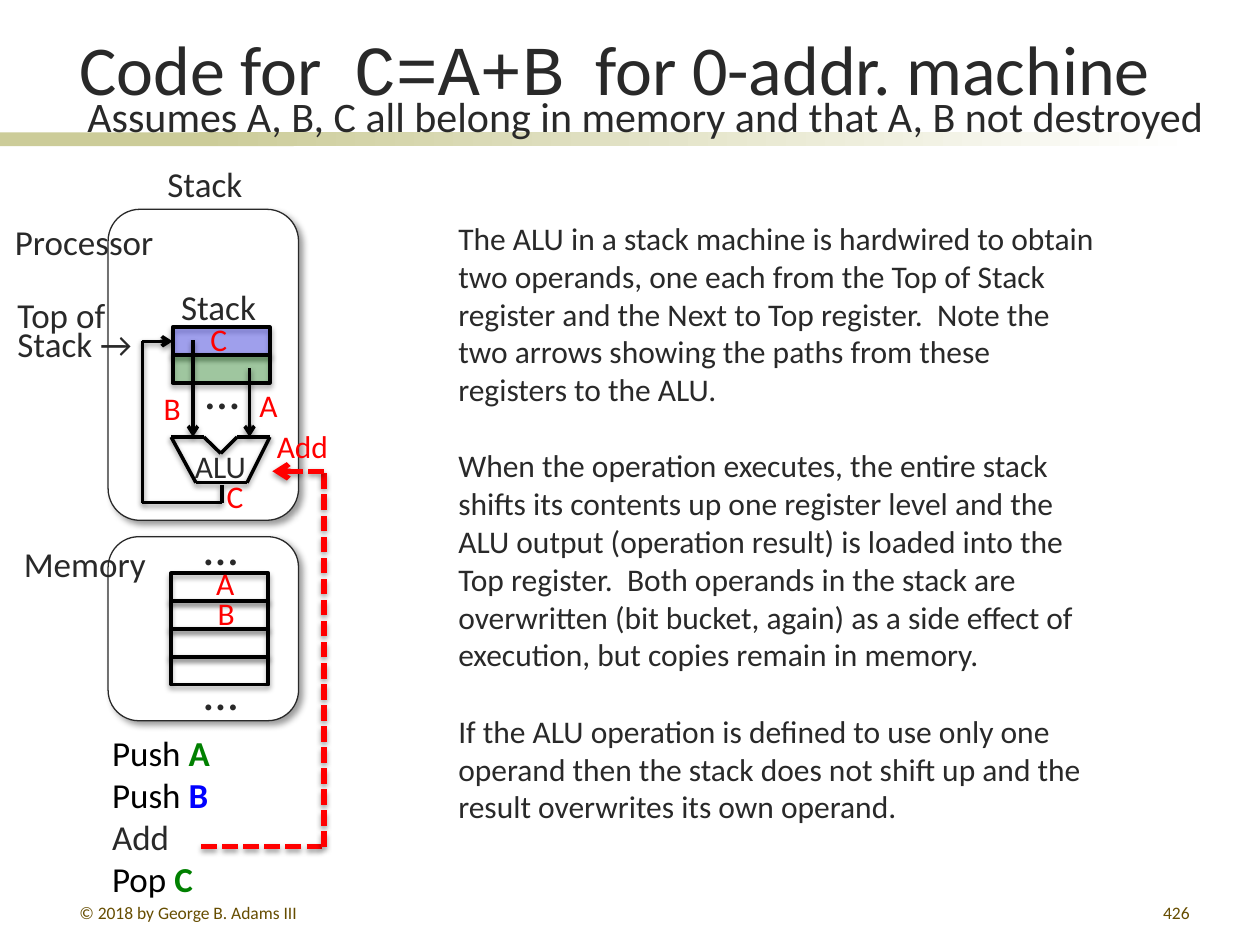
from itertools import pairwise

from lxml import etree
from pptx import Presentation
from pptx import util as u
from pptx.dml import color
from pptx.enum import dml, shapes, text
from pptx.oxml import ns

INK, BLACK, RED, GREEN, BLUE = "292929", "000000", "FF0000", "008000", "0000FF"
KHAKI, BROWN, WHITE = "CCCC99", "664D00", "FFFFFF"

PASSAGES = [
    "The ALU in a stack machine is hardwired to obtain  two operands, one each from the Top of Stack "
    "register and the Next to Top register.  Note the two arrows showing the paths from these "
    "registers to the ALU.",
    "When the operation executes, the entire stack shifts its contents up one register level and the "
    "ALU output (operation result) is loaded into the Top register.  Both operands in the stack are "
    "overwritten (bit bucket, again) as a side effect of execution, but copies remain in memory.",
    "If the ALU operation is defined to use only one operand then the stack does not shift up and the "
    "result overwrites its own operand.",
]


def rgb(value):
    return color.RGBColor.from_string(value)


def cast_shadow(shape, opacity, blur, distance, angle):
    effects = etree.SubElement(shape._element.spPr, ns.qn("a:effectLst"))
    outer = etree.SubElement(
        effects, ns.qn("a:outerShdw"), blurRad=str(u.Pt(blur)), dist=str(u.Pt(distance)),
        dir=str(angle * 60000), rotWithShape="0")
    tint = etree.SubElement(outer, ns.qn("a:srgbClr"), val=BLACK)
    etree.SubElement(tint, ns.qn("a:alpha"), val=str(opacity * 1000))


def style_run(run, size, hue, bold=False, font="Calibri"):
    run.font.size = u.Pt(size)
    run.font.name = font
    run.font.bold = bold
    run.font.color.rgb = rgb(hue)


def add_run(paragraph, words, size, hue, bold=False, font="Calibri"):
    run = paragraph.add_run()
    run.text = words
    style_run(run, size, hue, bold, font)


def add_label(slide, box, words, size=20, hue=INK, align=None, wrap=False, spacing=None, gap=0):
    label = slide.shapes.add_textbox(*map(u.Cm, box))
    frame = label.text_frame
    frame.word_wrap = wrap
    frame.text = words
    for paragraph in frame.paragraphs:
        paragraph.alignment = align
        paragraph.line_spacing = spacing
        paragraph.space_after = u.Pt(gap)
        for run in paragraph.runs:
            style_run(run, size, hue)
    return frame


def add_box(slide, box, fill=None, line=None, width=2.25, opacity=100, shadow=None,
            preset=shapes.MSO_SHAPE.RECTANGLE):
    shape = slide.shapes.add_shape(preset, *map(u.Cm, box))
    if fill:
        shape.fill.solid()
        shape.fill.fore_color.rgb = rgb(fill)
        if opacity < 100:
            tint = shape._element.spPr.find(".//" + ns.qn("a:srgbClr"))
            etree.SubElement(tint, ns.qn("a:alpha"), val=str(opacity * 1000))
    else:
        shape.fill.background()
    if line:
        shape.line.color.rgb = rgb(line)
        shape.line.width = u.Pt(width)
    else:
        shape.line.fill.background()
    if shadow:
        cast_shadow(shape, *shadow)
    else:
        shape.shadow.inherit = False
    return shape


def add_line(slide, start, end, hue=BLACK, width=2, dashed=False, arrow=False):
    line = slide.shapes.add_connector(
        shapes.MSO_CONNECTOR.STRAIGHT, *map(u.Cm, (*start, *end)))
    line.line.color.rgb = rgb(hue)
    line.line.width = u.Pt(width)
    if dashed:
        line.line.dash_style = dml.MSO_LINE.SQUARE_DOT
    if arrow:
        etree.SubElement(line.line._get_or_add_ln(), ns.qn("a:tailEnd"), type="arrow")
    cast_shadow(line, 38, 3.1, 1.6, 90)
    return line


def add_path(slide, points, arrow=False, **style):
    steps = list(pairwise(points))
    lines = [add_line(slide, *step, arrow=arrow and step is steps[-1], **style) for step in steps]
    return lines[-1]


def add_cells(slide, left, top, fills):
    return [add_box(slide, (left, top + 0.56 * row, 1.96, 0.56), fill, BLACK, opacity=30,
                    shadow=(35, 3.1, 1.8, 90))
            for row, fill in enumerate(fills)]


def add_heading(slide):
    add_box(slide, (0, 2.67, 5.92, 0.28), KHAKI)
    fade = add_box(slide, (4.01, 2.67, 20.12, 0.28), KHAKI)
    fade.fill.gradient()
    fade.fill.gradient_angle = 0
    for stop, hue in zip(fade.fill.gradient_stops, (KHAKI, WHITE)):
        stop.color.rgb = rgb(hue)

    title = slide.shapes.title
    title.left, title.top, title.width, title.height = map(u.Cm, (1.35, 0.28, 23.42, 2.06))
    frame = title.text_frame
    frame.auto_size = text.MSO_AUTO_SIZE.NONE
    frame.vertical_anchor = text.MSO_ANCHOR.BOTTOM
    heading = frame.paragraphs[0]
    heading.alignment = text.PP_ALIGN.LEFT
    for words, font in (("Code for  ", "Calibri"), ("C=A+B", "Courier New"),
                        ("  for 0-addr. machine", "Calibri")):
        add_run(heading, words, 40, INK, font=font)

    add_label(slide, (1.35, 18.06, 5.51, 0.53), "© 2018 by George B. Adams III", 10, BROWN, wrap=True)
    add_label(slide, (18.95, 18.06, 5.28, 0.53), "426", 10, BROWN, text.PP_ALIGN.RIGHT, True)
    add_label(slide, (1.32, 1.7, 23.47, 1.27),
              " Assumes A, B, C all belong in memory and that A, B not destroyed", 24)


def add_machine(slide):
    for top, height in ((10.82, 3.71), (4.22, 6.27)):
        add_box(slide, (2.18, top, 3.84, height), WHITE, INK, 0.75, shadow=(40, 4, 3, 45),
                preset=shapes.MSO_SHAPE.ROUNDED_RECTANGLE)

    alu = [(3.45, 8.81), (4.11, 8.81), (4.45, 9.14), (4.78, 8.81),
           (5.44, 8.81), (4.98, 9.73), (3.95, 9.73)]
    add_path(slide, alu + alu[:1])
    add_label(slide, (3.68, 8.89, 1.57, 0.89), "ALU", 18)

    for left, top in ((3.86, 10.29), (3.86, 13.21), (3.89, 7.14)):
        add_label(slide, (left, top, 1.19, 1.27), "…", 28)
    add_cells(slide, 3.45, 11.56, [None] * 4)
    top_register, _ = add_cells(slide, 3.48, 6.6, [BLUE, GREEN])

    for x, top in ((3.89, 6.86), (5.03, 7.42)):
        add_line(slide, (x, top), (x, 8.81), arrow=True)
    feedback = add_path(
        slide, [(4.47, 9.78), (4.47, 10.13), (2.87, 10.13), (2.87, 6.88), (3.48, 6.88)], arrow=True)
    feedback.end_connect(top_register, 1)

    add_label(slide, (0.05, 4.32, 3.35, 0.97), "Processor")
    add_label(slide, (0.1, 6.02, 2.9, 1.5), "Top of\nStack →", spacing=0.7)
    add_label(slide, (3.1, 3.15, 2.06, 0.97), "Stack", align=text.PP_ALIGN.CENTER)
    add_label(slide, (3.4, 5.64, 2.06, 0.97), "Stack")
    add_label(slide, (0.23, 10.82, 3, 1.12), "Memory")


def add_program(slide):
    program = add_label(slide, (2.01, 14.63, 2.51, 3.68), "")
    steps = (("Push ", BLACK, "A", GREEN), ("Push ", BLACK, "B", BLUE),
             ("Add", INK, "", INK), ("Pop ", BLACK, "C", GREEN))
    for row, (opcode, hue, operand, operand_hue) in enumerate(steps):
        line = program.add_paragraph() if row else program.paragraphs[0]
        add_run(line, opcode, 20, hue)
        if operand:
            add_run(line, operand, 20, operand_hue, True)


def add_execution(slide):
    add_path(slide, [(4.06, 17.07), (6.53, 17.07), (6.53, 9.5), (5.49, 9.5)],
             arrow=True, hue=RED, width=3, dashed=True)
    add_label(slide, (5.33, 8.48, 1.55, 1.02), "Add", 18, RED)
    for value, left, top in (("B", 3.05, 7.72), ("A", 4.98, 7.65), ("C", 4.32, 9.5),
                             ("C", 3.99, 6.32), ("B", 4.14, 11.86), ("A", 4.11, 11.25)):
        add_label(slide, (left, top, 0.86, 1.02), value, 18, RED)
    add_label(slide, (8.99, 4.29, 13.46, 12.57), "\n".join(PASSAGES), 18, wrap=True, gap=22)


def main():
    deck = Presentation()
    deck.slide_width, deck.slide_height = u.Cm(25.4), u.Cm(19.05)
    slide = deck.slides.add_slide(deck.slide_layouts[5])
    add_heading(slide)
    add_machine(slide)
    add_program(slide)
    add_execution(slide)
    deck.save("out.pptx")


if __name__ == "__main__":
    main()
